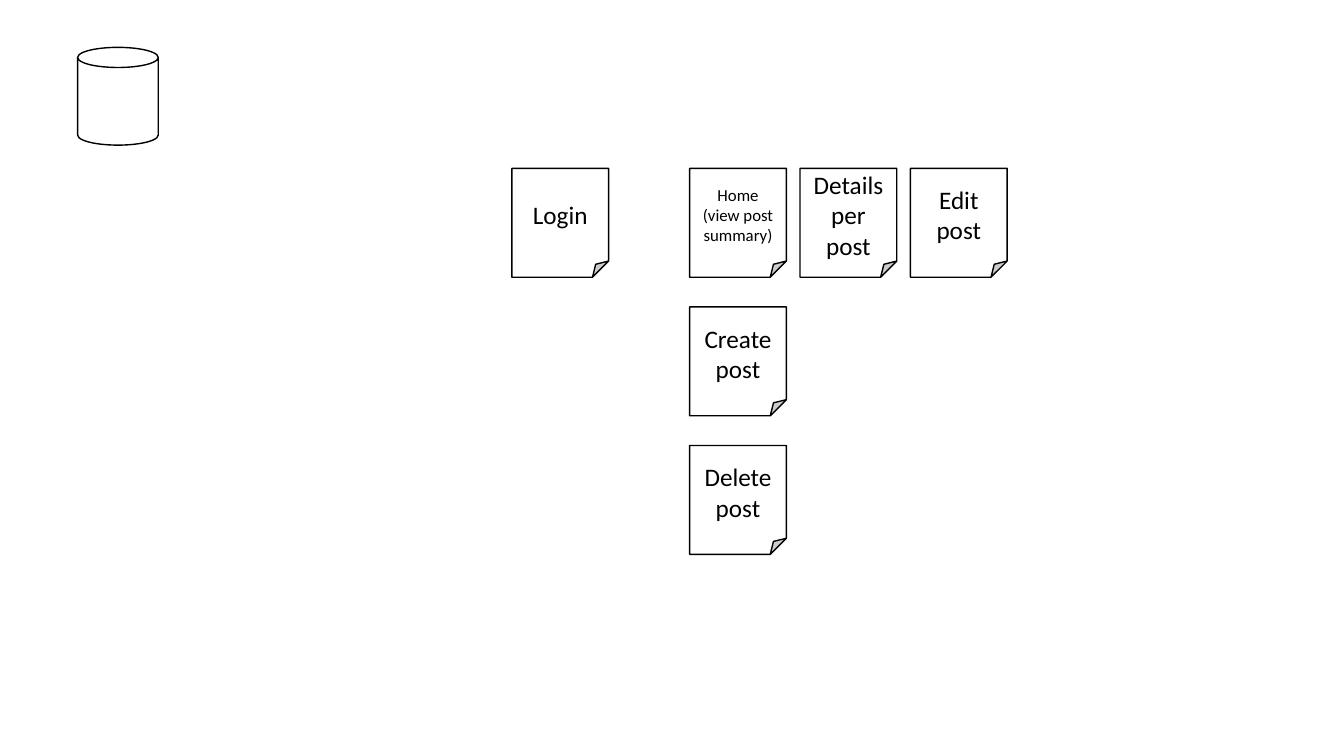
import pptx
import pptx.util
import pptx.dml.color
import pptx.enum.shapes
import pptx.enum.text

BLACK = pptx.dml.color.RGBColor(0x00, 0x00, 0x00)
WHITE = pptx.dml.color.RGBColor(0xFF, 0xFF, 0xFF)
SHAPES = pptx.enum.shapes.MSO_SHAPE
Inches = pptx.util.Inches
Pt = pptx.util.Pt


class SiteMap:
    """Draws a database and web pages on a grid that starts at the home page."""

    left, top = 6.84, 1.67
    column_step, row_step = 1.095, 1.375
    page_width, page_height = 0.96, 1.08
    font_format = {"name": "Calibri", "size": Pt(18)}

    def __init__(self, page):
        self.page = page

    def outlined(self, kind, left, top, width, height):
        box = self.page.shapes.add_shape(
            kind, Inches(left), Inches(top), Inches(width), Inches(height))
        box.shadow.inherit = False
        box.fill.solid()
        box.fill.fore_color.rgb = WHITE
        box.line.color.rgb = BLACK
        box.line.width = Pt(1)
        return box

    def database(self, left, top, width, height):
        return self.outlined(SHAPES.CAN, left, top, width, height)

    def web_page(self, label, column, row, **changes):
        box = self.outlined(
            SHAPES.FOLDED_CORNER,
            self.left + column * self.column_step,
            self.top + row * self.row_step,
            self.page_width, self.page_height)
        frame = box.text_frame
        frame.word_wrap = True
        frame.vertical_anchor = pptx.enum.text.MSO_ANCHOR.MIDDLE
        para = frame.paragraphs[0]
        para.text = label
        para.alignment = pptx.enum.text.PP_ALIGN.CENTER
        for span in para.runs:
            for name, value in {**self.font_format, **changes}.items():
                setattr(span.font, name, value)
            span.font.color.rgb = BLACK
        return box


deck = pptx.Presentation()
deck.slide_width, deck.slide_height = Inches(13.33), Inches(7.5)
site = SiteMap(deck.slides.add_slide(deck.slide_layouts[6]))

site.database(0.77, 0.47, 0.8, 0.97)
site.web_page("Home (view post summary)", 0, 0, size=Pt(12))
for label, column, row in [
    ("Details per post", 1, 0),
    ("Login", -1.61, 0),
    ("Create post", 0, 1),
    ("Edit post", 2, 0),
    ("Delete\vpost", 0, 2),
]:
    site.web_page(label, column, row)

deck.save("out.pptx")
